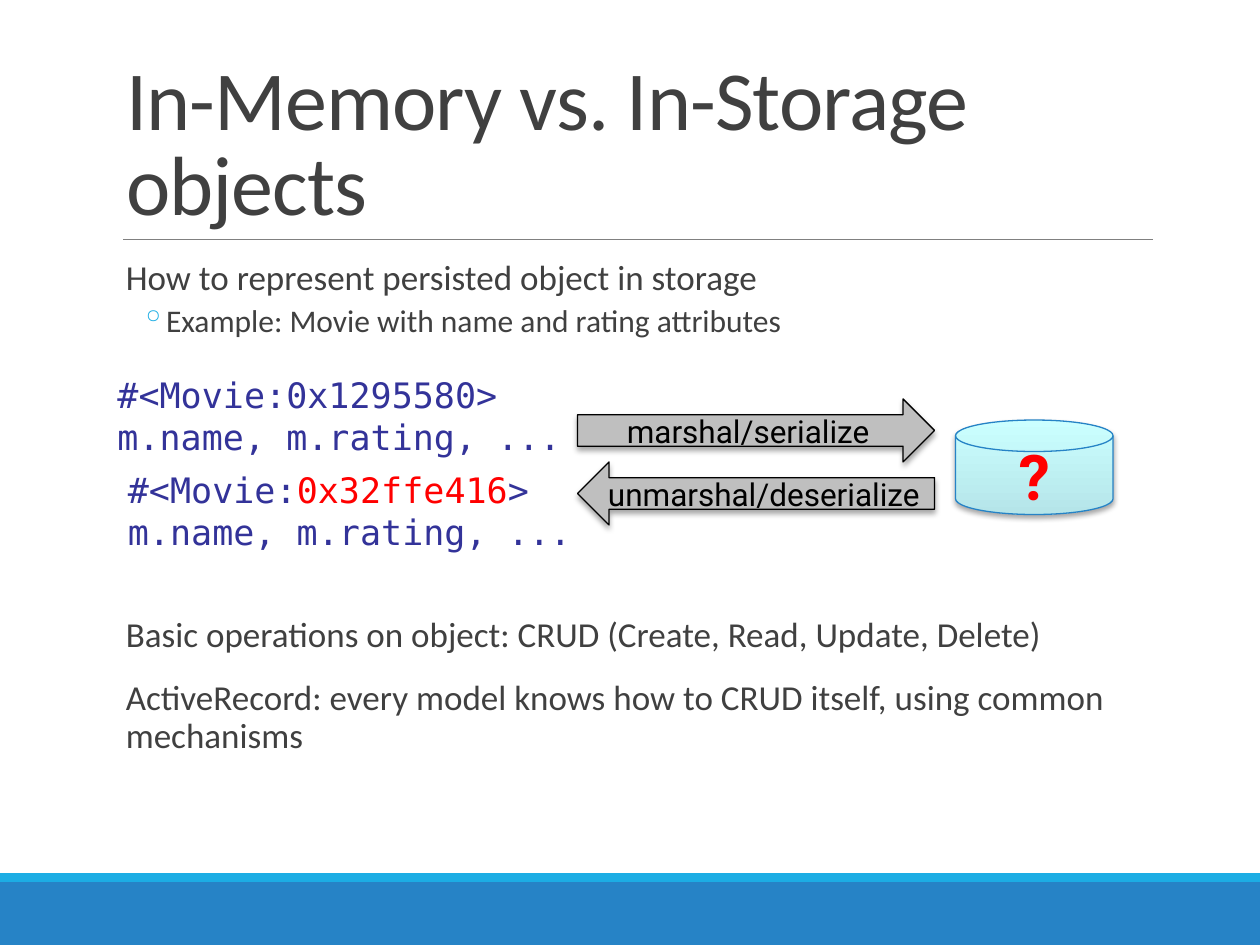
import pptx
import pptx.dml.color
import pptx.enum.shapes
import pptx.enum.text
import pptx.oxml.ns
import pptx.util
from lxml import etree

Pt = pptx.util.Pt
RGBColor = pptx.dml.color.RGBColor
SHAPE = pptx.enum.shapes.MSO_SHAPE
ANCHOR = pptx.enum.text.MSO_ANCHOR
ALIGN = pptx.enum.text.PP_ALIGN
qn = pptx.oxml.ns.qn

BLUE = RGBColor(0x26, 0x83, 0xC6)
SKY = RGBColor(0x1C, 0xAD, 0xE4)
RULE = RGBColor(0x80, 0x80, 0x80)
TEXT = RGBColor(0x40, 0x40, 0x40)
NAVY = RGBColor(0x33, 0x33, 0x99)
RED = RGBColor(0xFF, 0x00, 0x00)
BLACK = RGBColor(0x00, 0x00, 0x00)
SILVER = RGBColor(0xBF, 0xBF, 0xBF)
DISK_TOP = RGBColor(0xCB, 0xFF, 0xFF)
DISK_BOTTOM = RGBColor(0xB5, 0xE5, 0xE9)


def add_run(p, text, font, size, color, bold=False):
    r = p.add_run()
    r.text = text
    r.font.name = font
    r.font.size = Pt(size)
    r.font.color.rgb = color
    r.font.bold = bold
    return r


def add_bar(slide, top, height, color):
    s = slide.shapes.add_shape(SHAPE.RECTANGLE, 0, Pt(top), Pt(720), Pt(height))
    s.shadow.inherit = False
    s.fill.solid()
    s.fill.fore_color.rgb = color
    s.line.fill.background()


def add_rule(slide, left, right, y):
    s = slide.shapes.add_connector(
        pptx.enum.shapes.MSO_CONNECTOR.STRAIGHT, Pt(left), Pt(y), Pt(right), Pt(y))
    s.line.color.rgb = RULE
    s.line.width = Pt(0.5)
    etree.SubElement(s._element.spPr, qn("a:effectLst"))


def set_title(slide, text):
    s = slide.shapes.title
    s.left, s.top, s.width, s.height = Pt(64.8), Pt(22.3), Pt(594), Pt(114.5)
    tf = s.text_frame
    tf.auto_size = pptx.enum.text.MSO_AUTO_SIZE.NONE
    tf.vertical_anchor = ANCHOR.BOTTOM
    p = tf.paragraphs[0]
    p.alignment = ALIGN.LEFT
    p.line_spacing = 0.85
    r = add_run(p, text, "Calibri", 48, TEXT)
    r.font._element.set("spc", "-50")


def add_text_box(slide, left, top, width, height):
    s = slide.shapes.add_textbox(Pt(left), Pt(top), Pt(width), Pt(height))
    s.text_frame.word_wrap = True
    return s.text_frame


def set_bullet(p, char, color):
    pPr = p._p.get_or_add_pPr()
    pPr.set("marL", str(Pt(23)))
    pPr.set("indent", str(-Pt(14.4)))
    clr = etree.SubElement(pPr, qn("a:buClr"))
    etree.SubElement(clr, qn("a:srgbClr")).set("val", str(color))
    etree.SubElement(pPr, qn("a:buChar")).set("char", char)


def add_body(slide, top, height, items):
    tf = add_text_box(slide, 64.8, top, 594, height)
    tf.margin_right = 0
    for i, (text, level) in enumerate(items):
        p = tf.paragraphs[0] if i == 0 else tf.add_paragraph()
        p.line_spacing = 0.9
        p.space_before = Pt(2 if level else 12 if i else 0)
        p.space_after = Pt(4 if level else 2)
        if level:
            p.level = level
            set_bullet(p, "◦", SKY)
        add_run(p, text, "Calibri", 18 if level else 20, TEXT)


def add_code(slide, left, top, lines):
    tf = add_text_box(slide, left, top, 300, 55.7)
    for i, runs in enumerate(lines):
        p = tf.paragraphs[0] if i == 0 else tf.add_paragraph()
        for text, color in runs:
            add_run(p, text, "DejaVu Sans Mono", 20, color)


def add_soft_shadow(s):
    s.shadow.inherit = False
    shadow = etree.SubElement(
        s._element.spPr.find(qn("a:effectLst")), qn("a:outerShdw"),
        blurRad=str(Pt(3.1)), dist=str(Pt(1.8)), dir="5400000", rotWithShape="0")
    clr = etree.SubElement(shadow, qn("a:srgbClr"), val=str(BLACK))
    etree.SubElement(clr, qn("a:alpha"), val="35000")


def add_labelled_shape(slide, kind, box, line, text, size, color, bold=False):
    s = slide.shapes.add_shape(kind, *[Pt(v) for v in box])
    s.line.color.rgb = line
    s.line.width = Pt(0.75)
    add_soft_shadow(s)
    tf = s.text_frame
    tf.vertical_anchor = ANCHOR.MIDDLE
    p = tf.paragraphs[0]
    p.alignment = ALIGN.CENTER
    add_run(p, text, "Roboto", size, color, bold)
    return s


def add_arrow(slide, kind, top, text):
    s = add_labelled_shape(slide, kind, (330, top, 204, 36), BLACK, text, 18, BLACK)
    s.fill.solid()
    s.fill.fore_color.rgb = SILVER


def add_disk(slide):
    s = add_labelled_shape(slide, SHAPE.FLOWCHART_MAGNETIC_DISK,
                           (546, 240, 90, 54), BLUE, "?", 36, RED, True)
    s.fill.gradient()
    s.fill.gradient_angle = 270
    for stop, position, color in zip(s.fill.gradient_stops, (0, 1), (DISK_TOP, DISK_BOTTOM)):
        stop.position = position
        stop.color.rgb = color


def main():
    prs = pptx.Presentation()
    prs.slide_width, prs.slide_height = Pt(720), Pt(540)
    slide = prs.slides.add_slide(prs.slide_layouts[5])

    add_bar(slide, 504, 36, BLUE)
    add_bar(slide, 499, 5, SKY)
    add_rule(slide, 70.5, 659, 136.8)
    set_title(slide, "In-Memory vs. In-Storage objects")

    add_body(slide, 145.4, 56, [
        ("How to represent persisted object in storage", 0),
        ("Example: Movie with name and rating attributes", 1),
    ])
    add_body(slide, 349.4, 90, [
        ("Basic operations on object: CRUD (Create, Read, Update, Delete)", 0),
        ("ActiveRecord: every model knows how to CRUD itself, using common mechanisms", 0),
    ])

    fields = [("m.name, m.rating, ...", NAVY)]
    add_code(slide, 60, 210, [[("#<Movie:0x1295580>", NAVY)], fields])
    add_disk(slide)
    add_arrow(slide, SHAPE.RIGHT_ARROW, 228, "marshal/serialize")
    add_arrow(slide, SHAPE.LEFT_ARROW, 264, "unmarshal/deserialize")
    add_code(slide, 66, 264, [
        [("#<Movie:", NAVY), ("0x32ffe416", RED), (">", NAVY)], fields])

    prs.save("out.pptx")


if __name__ == "__main__":
    main()
